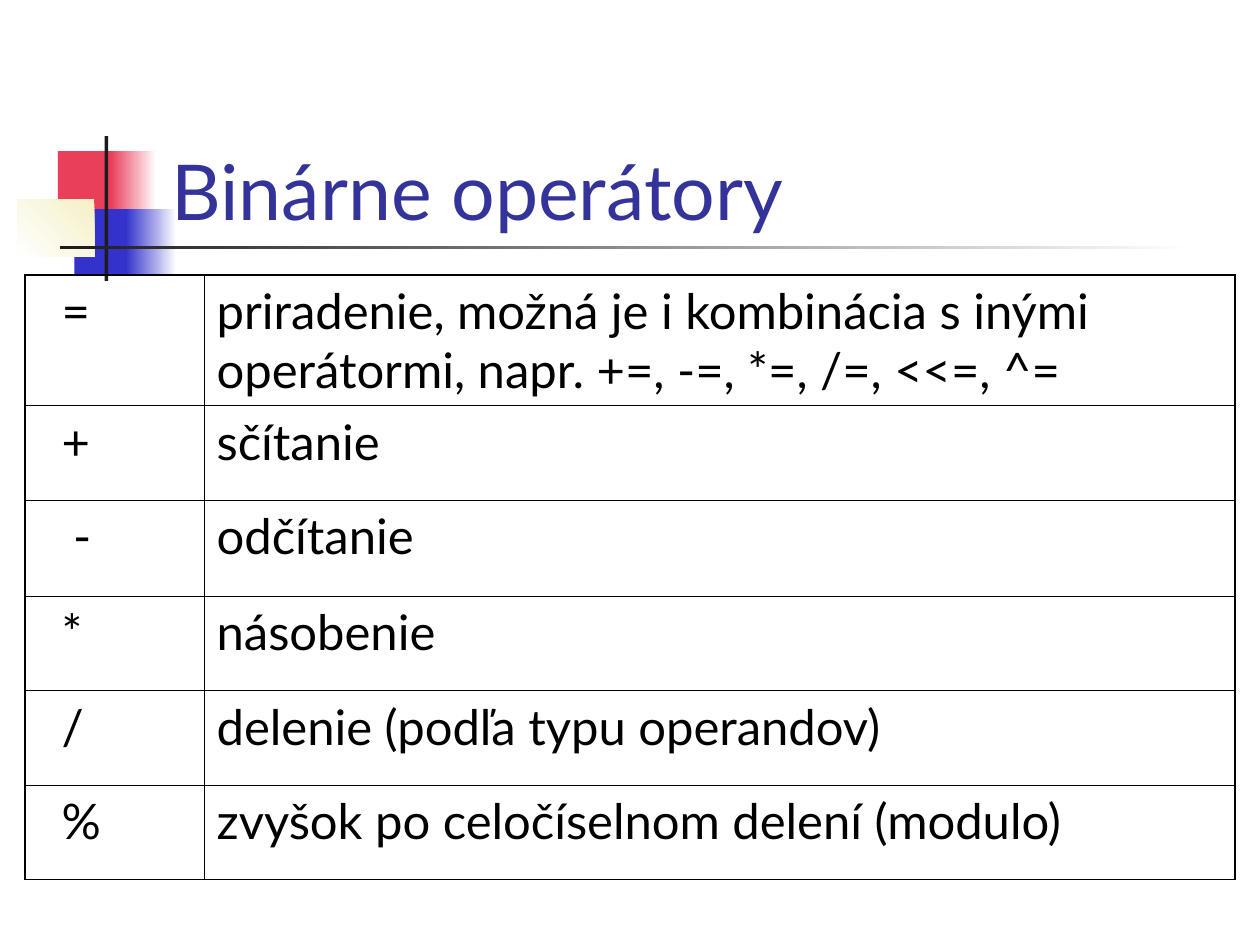
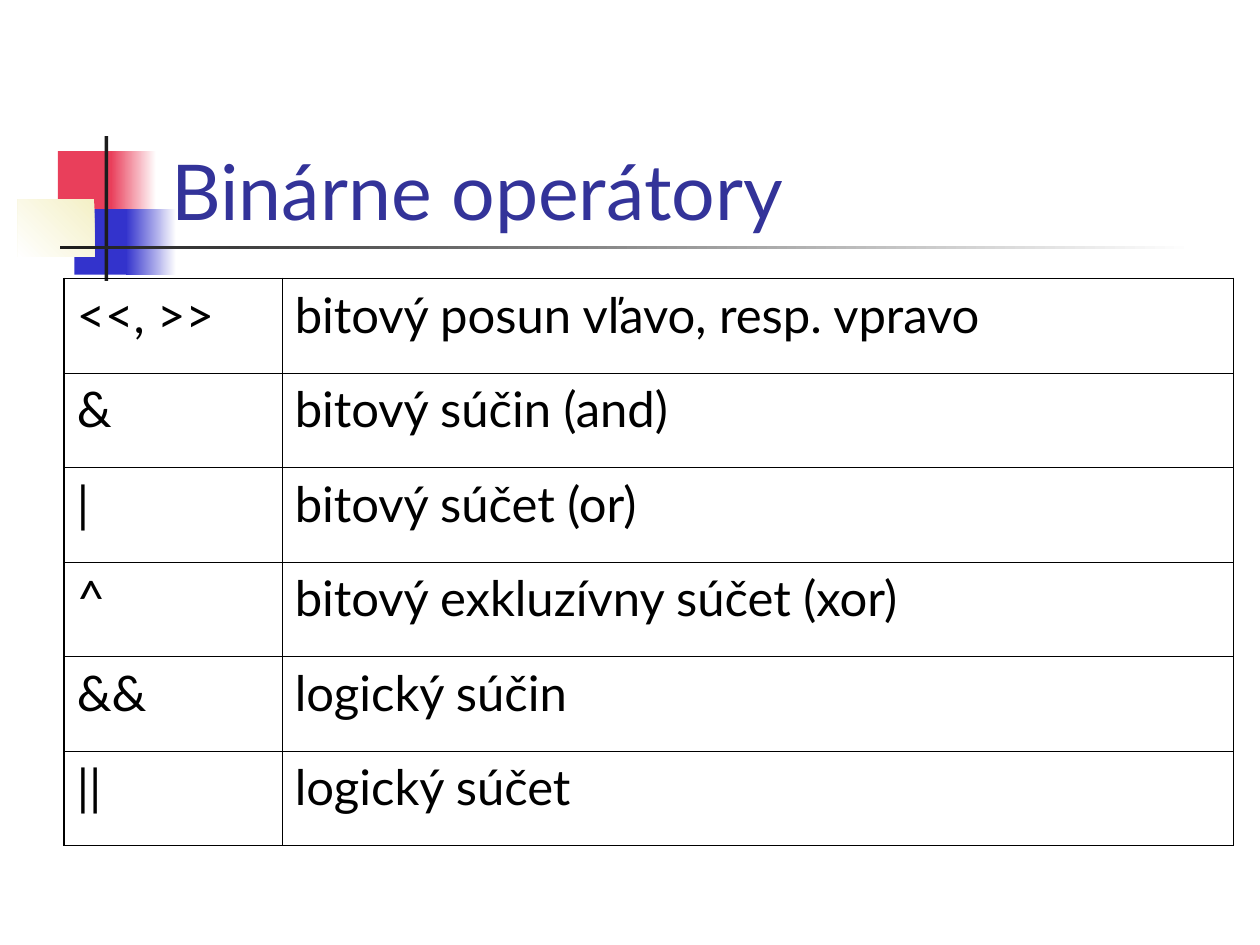
from typing import NamedTuple

from lxml import etree
from pptx import Presentation
from pptx.dml.color import RGBColor
from pptx.enum import text
from pptx.oxml import ns
from pptx.util import Inches, Pt

RED = RGBColor(0xE9, 0x3F, 0x5B)
BLUE = RGBColor(0x33, 0x33, 0xCC)
CREAM = RGBColor(0xF4, 0xF0, 0xC6)
DARK = RGBColor(0x1C, 0x1C, 0x1C)
NAVY = RGBColor(0x33, 0x33, 0x99)
WHITE = RGBColor(0xFF, 0xFF, 0xFF)
BLACK = RGBColor(0, 0, 0)
FONT = "Lato"
TITLE = "Binárne operátory"
THICK, THIN = 1.08, 0.45  # points
PAD = 0.1  # side margin of a cell


class Block(NamedTuple):
    """A rectangle of the emblem; with an end colour it is a gradient."""
    left: float
    top: float
    width: float
    height: float
    color: RGBColor
    end: RGBColor | None = None
    angle: int = 180


class Row(NamedTuple):
    sign: str
    sense: str
    height: float = 0.75
    indent: float = 0


class Grid(NamedTuple):
    left: float
    top: float
    widths: tuple[float, float]
    rows: list[Row]


EMBLEM = [
    Block(0.46, 1.2, 0.48, 0.52, RED),
    Block(0.88, 1.2, 0.36, 0.52, WHITE, RED),
    Block(0.59, 1.66, 0.46, 0.52, BLUE),
    Block(1, 1.66, 0.4, 0.52, WHITE, BLUE),
    Block(0.14, 1.58, 0.61, 0.46, CREAM, WHITE, 225),
    Block(0.83, 1.08, 0.03, 1.15, DARK),
    Block(0.48, 1.95, 9, 0.03, WHITE, DARK),
]

GRIDS = [
    Grid(0.2, 2.18, (1.42, 8.18), [
        Row("=", "priradenie, možná je i kombinácia s inými operátormi, "
            "napr. +=, -=, *=, /=, <<=, ^=", 1.04, 0.19),
        Row("+", "sčítanie", indent=0.19),
        Row("-", "odčítanie", 0.76, 0.28),
        Row("*", "násobenie", indent=0.19),
        Row("/", "delenie (podľa typu operandov)", indent=0.19),
        Row("%", "zvyšok po celočíselnom delení (modulo)", indent=0.19),
    ]),
    Grid(0.51, 2.21, (1.73, 7.55), [
        Row("<<, >>", "bitový posun vľavo, resp. vpravo"),
        Row("&", "bitový súčin (and)"),
        Row("|", "bitový súčet (or)"),
        Row("^", "bitový exkluzívny súčet (xor)"),
        Row("&&", "logický súčin"),
        Row("||", "logický súčet"),
    ]),
]


def style(par, size: int, color: RGBColor) -> None:
    par.alignment = text.PP_ALIGN.LEFT
    par.font.name = FONT
    par.font.size = Pt(size)
    par.font.color.rgb = color


def set_master(slide, layout) -> None:
    """Place the title on the layout and the emblem on the slide master."""
    title = layout.placeholders[0]
    title.left, title.top = Inches(1.26), Inches(0.67)
    title.width, title.height = Inches(8.52), Inches(1.25)
    title.text_frame.vertical_anchor = text.MSO_ANCHOR.BOTTOM
    title.text_frame.auto_size = text.MSO_AUTO_SIZE.NONE

    tree = layout.slide_master.shapes.element
    for i, block in enumerate(EMBLEM):
        shape = slide.shapes.add_shape(1, *map(Inches, block[:4]))
        shape.shadow.inherit = False
        shape.line.fill.background()
        if block.end is None:
            shape.fill.solid()
            shape.fill.fore_color.rgb = block.color
        else:
            shape.fill.gradient()
            shape.fill.gradient_angle = block.angle
            for stop, color in zip(shape.fill.gradient_stops,
                                   (block.color, block.end)):
                stop.color.rgb = color
        node = shape.element
        node.nvSpPr.cNvPr.set("id", str(100 + i))
        tree.insert(2 + i, node)


def edge(cell, side: str, width: float) -> None:
    line = etree.SubElement(cell._tc.get_or_add_tcPr(), ns.qn(f"a:ln{side}"),
                            w=str(Pt(width)))
    fill = etree.SubElement(line, ns.qn("a:solidFill"))
    etree.SubElement(fill, ns.qn("a:srgbClr"), val=str(BLACK))


def draw_grid(slide, grid: Grid) -> None:
    """Draw the operator table with a thick outer frame."""
    count = len(grid.rows)
    table = slide.shapes.add_table(
        count, 2, Inches(grid.left), Inches(grid.top),
        Inches(sum(grid.widths)),
        Inches(sum(row.height for row in grid.rows))).table
    table.first_row = table.horz_banding = False
    for column, width in zip(table.columns, grid.widths):
        column.width = Inches(width)
    for r, row in enumerate(grid.rows):
        table.rows[r].height = Inches(row.height)
        for c, words in enumerate((row.sign, row.sense)):
            cell = table.cell(r, c)
            cell.text = words
            cell.margin_left = Inches(PAD + (row.indent if c == 0 else 0))
            style(cell.text_frame.paragraphs[0], 28, BLACK)
            outer = {"L": c == 0, "R": c == 1,
                     "T": r == 0, "B": r == count - 1}
            for side, frame in outer.items():
                edge(cell, side, THICK if frame else THIN)
            cell.fill.background()


def main() -> None:
    deck = Presentation()
    deck.slide_width, deck.slide_height = Inches(10), Inches(7.5)
    layout = deck.slide_layouts[5]
    for i, grid in enumerate(GRIDS):
        slide = deck.slides.add_slide(layout)
        if i == 0:
            set_master(slide, layout)
        slide.shapes.title.text = TITLE
        style(slide.shapes.title.text_frame.paragraphs[0], 44, NAVY)
        draw_grid(slide, grid)
    deck.save("out.pptx")


if __name__ == "__main__":
    main()
